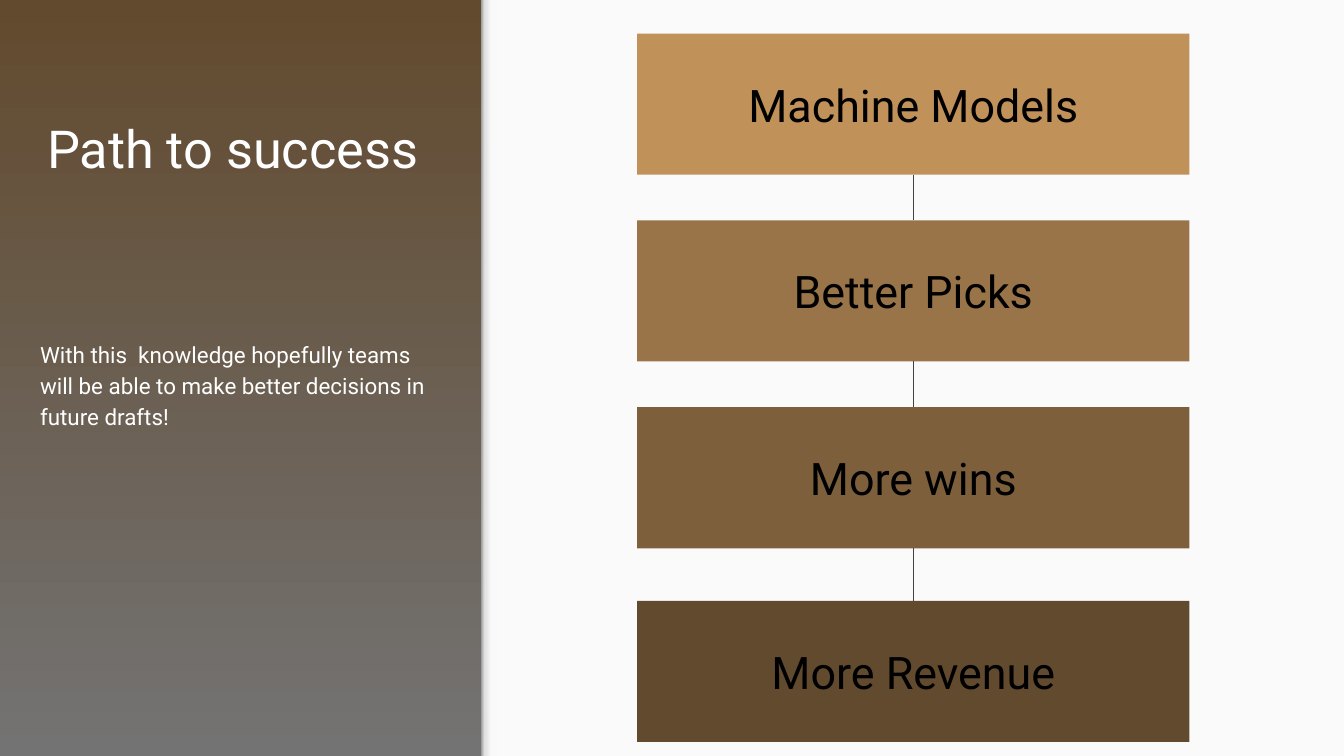
from itertools import pairwise

from lxml.etree import SubElement
from pptx import Presentation
from pptx.dml.color import RGBColor as RGB
from pptx.enum.shapes import MSO_CONNECTOR as CONN, MSO_SHAPE as SHAPE
from pptx.enum.text import MSO_ANCHOR as ANCHOR, PP_ALIGN as ALIGN
from pptx.oxml.ns import qn
from pptx.util import Inches, Pt

COLORS = {
    "white": "FFFFFF", "black": "000000", "paper": "FAFAFA",
    "line": "424242", "brown": "624A2E", "gray": "737373",
    "edge": "999999", "mid": "DEDEDE", "fade": "F9F9F9",
    "step1": "C09159", "step2": "997449", "step3": "7E5F3C",
    "step4": "624A2E",
}


def rgb(name):
    return RGB.from_string(COLORS[name])


class Deck:
    font = "Roboto"

    def __init__(self, width, height):
        self.prs = Presentation()
        self.prs.slide_width = Inches(width)
        self.prs.slide_height = Inches(height)
        self.s = self.prs.slides.add_slide(self.prs.slide_layouts[5])

    def gradient(self, owner, fill, angle, stops):
        fill.gradient()
        fill.gradient_angle = angle
        gs_list = owner.element.find(".//" + qn("a:gsLst"))
        gs_list.clear()
        for pos, color in stops:
            gs = SubElement(gs_list, qn("a:gs"), pos=str(pos * 1000))
            SubElement(gs, qn("a:srgbClr"), val=COLORS[color])

    def text(self, sp, text, size, color, anchor, align=ALIGN.LEFT, **spacing):
        tf = sp.text_frame
        frame = {"word_wrap": True, "vertical_anchor": anchor}
        for side in ("left", "right", "top", "bottom"):
            frame[f"margin_{side}"] = Inches(0.1)
        for name, value in frame.items():
            setattr(tf, name, value)
        p = tf.paragraphs[0]
        for name, value in {"alignment": align, **spacing}.items():
            setattr(p, name, value)
        r = p.add_run()
        r.text = text
        for name, value in {"name": self.font, "size": Pt(size), "bold": False}.items():
            setattr(r.font, name, value)
        r.font.color.rgb = rgb(color)

    def title(self, box, text, size):
        sp = self.s.shapes.title
        for name, value in zip(("left", "top", "width", "height"), box):
            setattr(sp, name, Inches(value))
        self.text(sp, text, size, "white", ANCHOR.BOTTOM)

    def body(self, box, text, size):
        sp = self.s.shapes.add_textbox(*map(Inches, box))
        self.text(sp, text, size, "white", ANCHOR.TOP,
                  line_spacing=1.15, space_after=Pt(16))

    def rect(self, box, color=None):
        sp = self.s.shapes.add_shape(SHAPE.RECTANGLE, *map(Inches, box))
        sp.shadow.inherit = False
        sp.line.fill.background()
        if color:
            sp.fill.solid()
            sp.fill.fore_color.rgb = rgb(color)
        return sp

    def step(self, box, text, color):
        sp = self.rect(box, color)
        self.text(sp, text, 24, "black", ANCHOR.MIDDLE, ALIGN.CENTER)
        return sp

    def link(self, upper, lower):
        c = self.s.shapes.add_connector(CONN.STRAIGHT, 0, 0, 0, 0)
        c.begin_connect(upper, 2)
        c.end_connect(lower, 0)
        c.line.color.rgb = rgb("line")
        c.line.width = Pt(0.75)
        SubElement(c.element.spPr, qn("a:effectLst"))


def main():
    width, split = 10, 3.58
    height = width * 9 / 16
    deck = Deck(width, height)
    deck.gradient(deck.s, deck.s.background.fill, 270,
                  [(0, "brown"), (100, "gray")])
    deck.rect((split, 0, width - split, height), "paper")
    shade = deck.rect((split, 0, 0.12, height))
    deck.gradient(shade, shade.fill, 0,
                  [(0, "edge"), (20, "mid"), (64, "fade"), (100, "fade")])

    deck.title((0.25, 0.39, 3.07, 1.04), "Path to success", 28)
    deck.body((0.2, 2.41, 3.07, 0.93),
              "With this  knowledge hopefully teams will be able to make "
              "better decisions in future drafts!", 12)

    steps = [
        (0.25, "Machine Models", "step1"),
        (1.64, "Better Picks", "step2"),
        (3.03, "More wins", "step3"),
        (4.47, "More Revenue", "step4"),
    ]
    boxes = [deck.step((4.74, top, 4.11, 1.05), text, color)
             for top, text, color in steps]
    for upper, lower in pairwise(boxes):
        deck.link(upper, lower)

    deck.prs.save("out.pptx")


if __name__ == "__main__":
    main()
